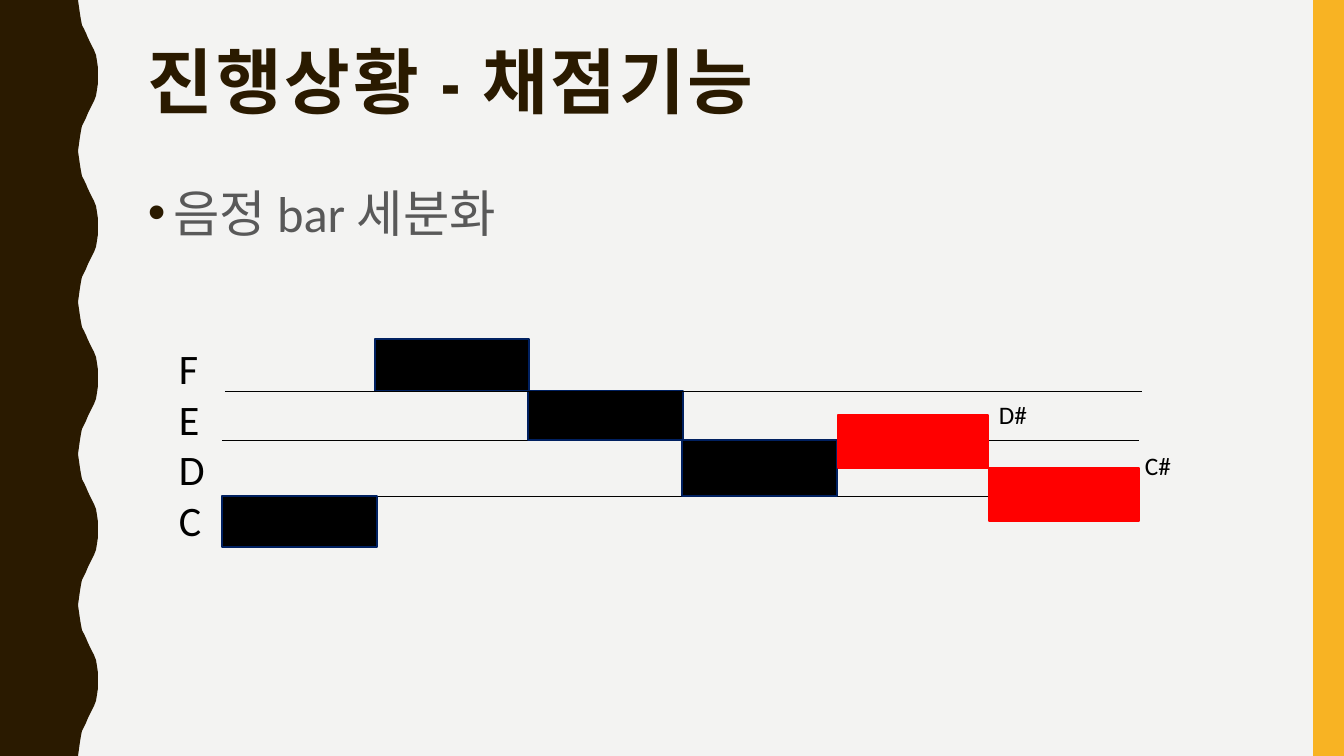
from itertools import pairwise
from lxml import etree
from pptx import Presentation, util as u
from pptx.dml.color import RGBColor
from pptx.enum import shapes, text
from pptx.oxml.ns import qn

THEME = {
    "paper": "F3F3F2", "wave": "2A1A00", "stripe": "F8B323",
    "body": "595959", "ink": "000000", "edge": "002060", "sharp": "FF0000",
    "heading_font": "Arial Narrow", "body_font": "Calibri",
    "title_size": 51, "bullet_size": 36, "pitch_size": 30, "sharp_size": 18,
}
WIDTH, HEIGHT = 1344, 756
PX = 9071.43

TITLE = "진행상황 - 채점기능"
BULLET = "음정 bar 세분화"
PITCHES = ["F", "E", "D", "C"]
PITCH_EDGES = [339, 391, 440, 496, 547]
NOTES = [("F", 375, 154), ("E", 528, 155), ("D", 682, 155), ("C", 222, 155)]
SHARPS = [("D#", "E", "D", 838, (989, 394)), ("C#", "D", "C", 989, (1135, 445))]
SHARP_WIDTH = 150
STAFF_LINES = [(222, 496), (222, 440), (225, 391)]
STAFF_LENGTH = 917
WAVE_COUNT, WAVE_PERIOD = 5, 151.2
CREST = [(78, 0), (79, 7), (80, 14), (81, 20), (82, 25), (84, 29), (86, 33), (88, 38),
         (90, 42), (92, 46), (94, 50), (96, 55), (97, 61), (98, 68), (98, 76)]

deck = Presentation()
deck.slide_width, deck.slide_height = round(WIDTH * PX), round(HEIGHT * PX)
slide = deck.slides.add_slide(deck.slide_layouts[6])


def colour(name):
    return RGBColor.from_string(THEME[name])


def emu(*pixels):
    return [round(p * PX) for p in pixels]


def apply(target, values):
    for key, value in values.items():
        setattr(target, key, value)


def paint(part, fill, edge=None):
    part.shadow.inherit = False
    part.fill.solid()
    part.fill.fore_color.rgb = colour(fill)
    if edge:
        part.line.color.rgb = colour(edge)
        part.line.width = u.Pt(1)
    else:
        part.line.fill.background()


def block(box, fill, edge=None):
    paint(slide.shapes.add_shape(shapes.MSO_SHAPE.RECTANGLE, *emu(*box)), fill, edge)


def write(box, lines, size, ink="ink", font="body_font", bold=False, spacing=None):
    frame = slide.shapes.add_textbox(*emu(*box)).text_frame
    apply(frame, {"word_wrap": True, "vertical_anchor": text.MSO_ANCHOR.TOP})
    for index, line in enumerate(lines):
        paragraph = frame.add_paragraph() if index else frame.paragraphs[0]
        run = paragraph.add_run()
        run.text = line
        apply(run.font, {"size": u.Pt(THEME[size]), "name": THEME[font], "bold": bold})
        run.font.color.rgb = colour(ink)
        if spacing:
            paragraph.line_spacing = spacing
    return frame.paragraphs[0]


def staff_line(left, top):
    line = slide.shapes.add_connector(
        shapes.MSO_CONNECTOR.STRAIGHT, *emu(left, top, left + STAFF_LENGTH, top))
    line.line.color.rgb = colour("ink")
    line.line.width = u.Pt(0.5)
    etree.SubElement(line._element.spPr, qn("a:effectLst"))


slide.background.fill.solid()
slide.background.fill.fore_color.rgb = colour("paper")

period = CREST + [(x, WAVE_PERIOD - y) for x, y in reversed(CREST[:-1])]
ripple = [(x, round(n * WAVE_PERIOD + y)) for n in range(WAVE_COUNT) for x, y in period]
wave = slide.shapes.build_freeform(0, 0, scale=PX)
wave.add_line_segments(ripple + [(0, HEIGHT)], close=True)
paint(wave.convert_to_shape(), "wave")
block((1313, 0, WIDTH - 1313, HEIGHT), "stripe")

for left, top in STAFF_LINES[:2]:
    staff_line(left, top)

heading = write((138, 42, 1122, 164), [TITLE], "title_size", "wave", "heading_font", True, 0.9)
heading.runs[0].font._element.set("spc", "200")

bullet = write((138, 171, 1122, 396), [BULLET], "bullet_size", "body", spacing=1.1)
bullet.space_before = u.Pt(7)
marks = bullet._p.get_or_add_pPr()
indent = u.Inches(0.25)
apply_indent = {"marL": indent, "indent": -indent}
for key, value in apply_indent.items():
    marks.set(key, str(value))
bullet_colour = etree.SubElement(marks, qn("a:buClr"))
etree.SubElement(bullet_colour, qn("a:srgbClr")).set("val", THEME["wave"])
etree.SubElement(marks, qn("a:buFont")).set("typeface", "Arial")
etree.SubElement(marks, qn("a:buChar")).set("char", "•")

write((169, 338, 81, 215), PITCHES, "pitch_size")

rows = dict(zip(PITCHES, pairwise(PITCH_EDGES)))
for pitch, left, width in NOTES:
    top, bottom = rows[pitch]
    block((left, top, width, bottom - top), "ink", "edge")

for name, upper, lower, left, label in SHARPS:
    top, bottom = (sum(rows[pitch]) // 2 for pitch in (upper, lower))
    block((left, top, SHARP_WIDTH, bottom - top), "sharp", "sharp")
    write((*label, 81, 40), [name], "sharp_size")

staff_line(*STAFF_LINES[2])
deck.save("out.pptx")
